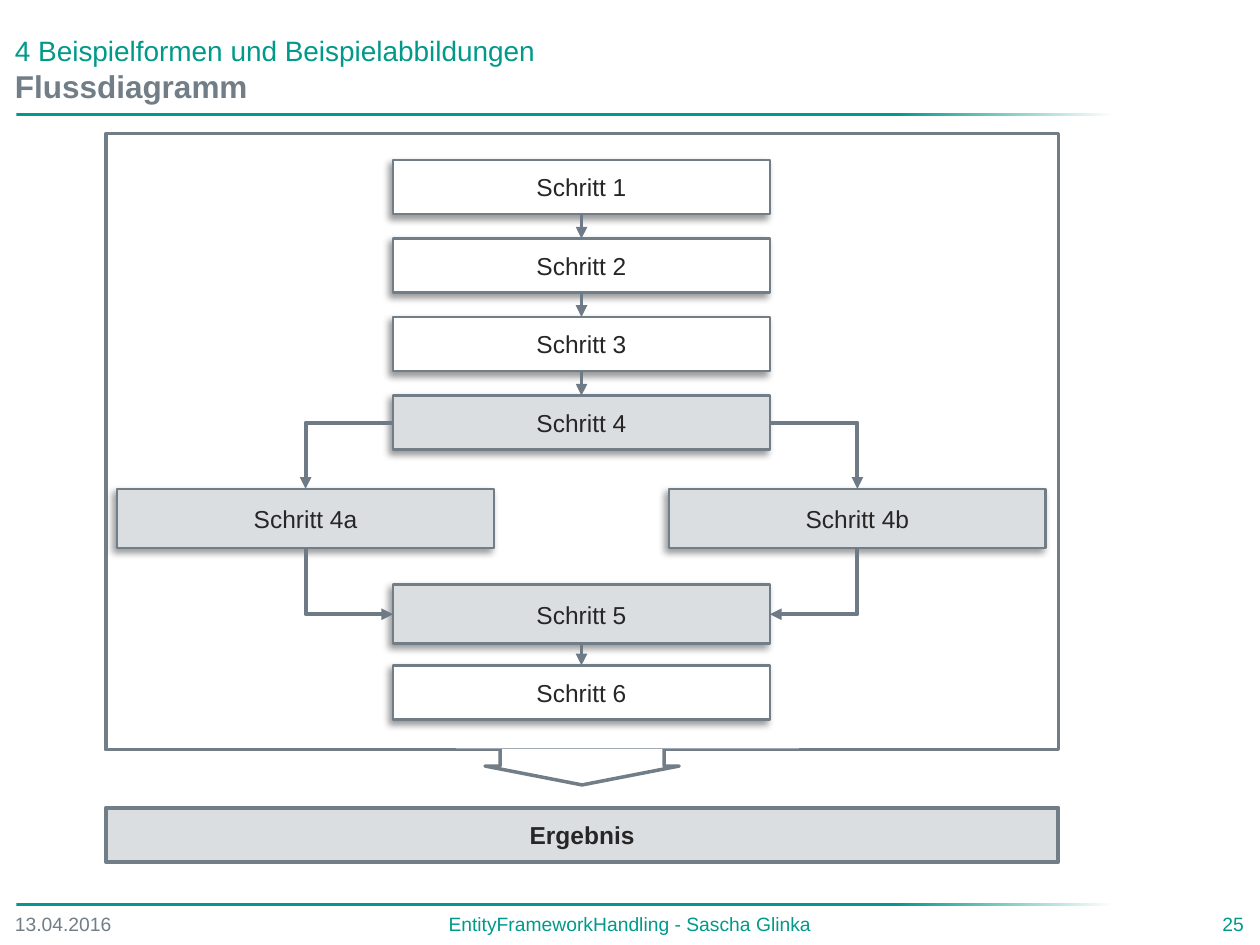
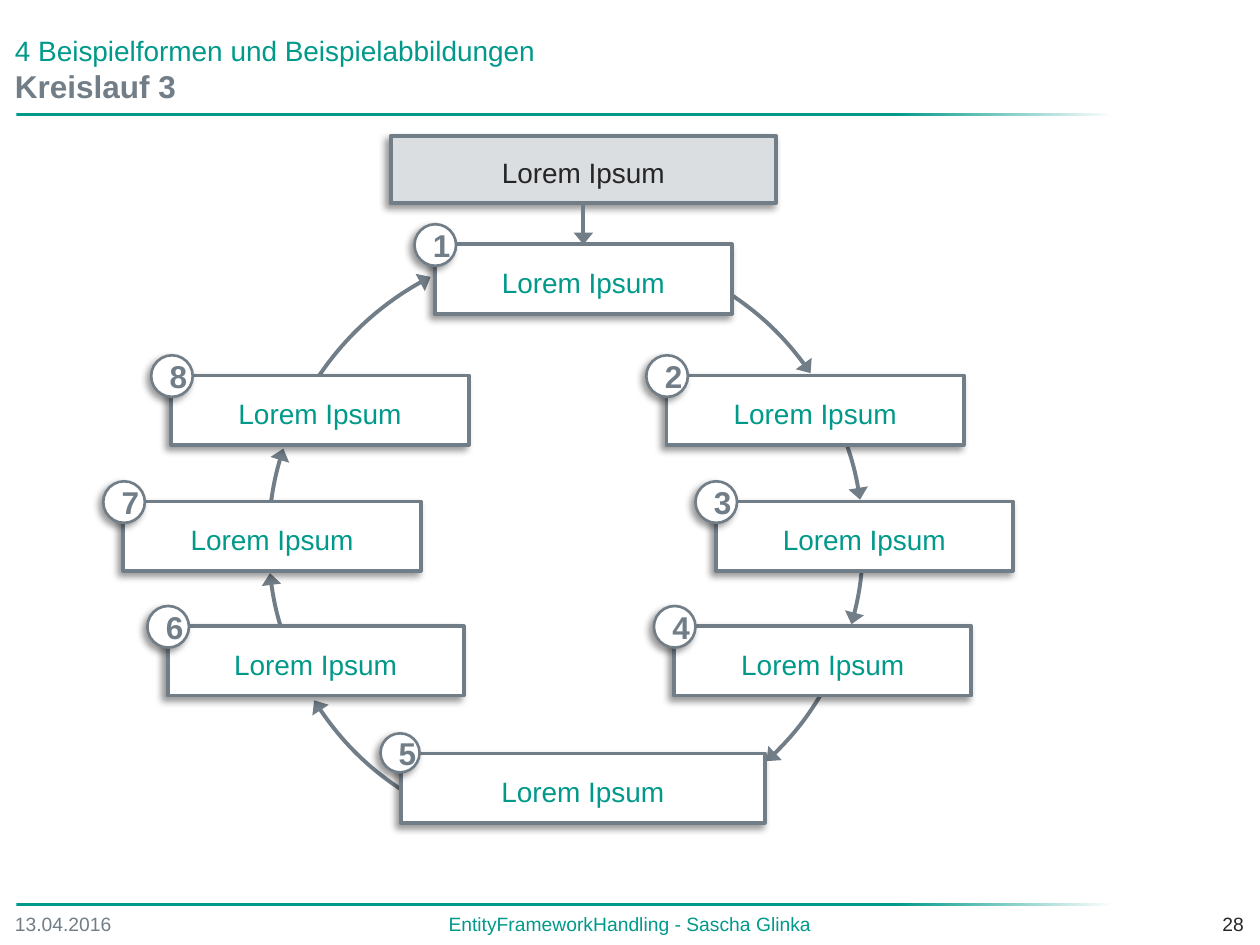
from copy import deepcopy

from lxml import etree
from pptx import Presentation
from pptx import util as u
from pptx.dml.color import RGBColor
from pptx.enum import shapes, text
from pptx.oxml.ns import qn

COLORS = {"green": "00998A", "gray": "717D87", "link": "6E7A85",
          "pale": "DBDEE1", "white": "FFFFFF", "ink": "262626"}
FONT = "Arial"
COLS, ROWS = 100, 75
TOP, LEFT, BOTTOM, RIGHT = range(4)
LEFT_AL, CENTER, RIGHT_AL = text.PP_ALIGN.LEFT, text.PP_ALIGN.CENTER, text.PP_ALIGN.RIGHT
MIDDLE, UPPER, LOWER = text.MSO_ANCHOR.MIDDLE, text.MSO_ANCHOR.TOP, text.MSO_ANCHOR.BOTTOM
KIND = shapes.MSO_SHAPE


class Deck:
    """Holds the style and the current slide, and draws on a 100 by 75 grid."""

    def __init__(self):
        self.prs = Presentation()
        self.prs.slide_width, self.prs.slide_height = u.Inches(10), u.Inches(7.5)
        self.s = None

    def grid(self, *box):
        """Turn columns and rows into slide lengths."""
        units = (self.prs.slide_width / COLS, self.prs.slide_height / ROWS)
        return [u.Emu(round(v * units[i % 2])) for i, v in enumerate(box)]

    def rgb(self, name):
        """Look up a colour by name."""
        return RGBColor.from_string(COLORS[name])

    def slide(self, title, number, number_color):
        """Start a slide with its heading, rules and footer."""
        self.s = self.prs.slides.add_slide(self.prs.slide_layouts[6])
        for top in (9, 71.7):
            self.rule(top)
        self.label((0.2, 1.9, 86.8, 3.9), "4 Beispielformen und Beispielabbildungen",
                   16, "green", anchor=LOWER)
        self.label((0.2, 4.8, 87, 3.9), title, 18, "gray", bold=True, before=1)
        self.label((0.2, 71.9, 16.7, 3.1), "13.04.2016", 11, "gray")
        self.label((19.6, 71.9, 60.8, 3.1), "EntityFrameworkHandling - Sascha Glinka",
                   11, "green", CENTER)
        self.label((83, 71.9, 16.7, 3.1), number, 11, number_color, RIGHT_AL)

    def rule(self, top):
        """Draw a green rule that fades out to the right."""
        sp = self.shape(KIND.RECTANGLE, (1.3, top, 87.1, 0.2))
        sp.fill.gradient()
        sp.fill.gradient_angle = 0
        stops = sp.fill.gradient_stops
        stops[0].color.rgb, stops[1].color.rgb = self.rgb("green"), self.rgb("white")
        stops[0].position, stops[1].position = 0, 1
        first = sp._element.spPr.find(".//" + qn("a:gs"))
        first.addnext(deepcopy(first))
        sp.fill.gradient_stops[1].position = 0.8

    def put_text(self, sp, words, size, color, align=LEFT_AL, bold=False,
                 anchor=UPPER, spacing=None, before=None):
        """Put one paragraph into a shape."""
        tf = sp.text_frame
        tf.word_wrap, tf.vertical_anchor = True, anchor
        p = tf.paragraphs[0]
        p.alignment, p.line_spacing = align, spacing
        if before:
            p.space_before = u.Pt(before)
        r = p.add_run()
        r.text = words
        r.font.name, r.font.size, r.font.bold = FONT, u.Pt(size), bold
        r.font.color.rgb = self.rgb(color)

    def label(self, box, words, size, color, align=LEFT_AL, **style):
        """Add a text box."""
        self.put_text(self.s.shapes.add_textbox(*self.grid(*box)),
                      words, size, color, align, **style)

    def shape(self, kind, box, fill=None, width=None, shadow=False):
        """Add a preset shape."""
        sp = self.s.shapes.add_shape(kind, *self.grid(*box))
        sp.shadow.inherit = False
        if fill:
            sp.fill.solid()
            sp.fill.fore_color.rgb = self.rgb(fill)
        else:
            sp.fill.background()
        if width:
            sp.line.color.rgb, sp.line.width = self.rgb("gray"), u.Pt(width)
        else:
            sp.line.fill.background()
        if shadow:
            effects = sp._element.spPr.find(qn("a:effectLst"))
            outer = etree.SubElement(effects, qn("a:outerShdw"), blurRad=str(u.Pt(4)),
                                     dist=str(u.Pt(3)), dir=str(135 * 60000),
                                     algn="tr", rotWithShape="0")
            black = etree.SubElement(outer, qn("a:srgbClr"), val="000000")
            etree.SubElement(black, qn("a:alpha"), val="40000")
        return sp

    def step(self, words, center, top, height, fill):
        """Add a flow chart step around a centre column."""
        sp = self.shape(KIND.RECTANGLE, (center - 14.95, top, 29.9, height), fill, 1.5, True)
        self.put_text(sp, words, 14, "ink", CENTER, anchor=MIDDLE)
        return sp

    def card(self, box, fill, color):
        """Add a station of the cycle."""
        sp = self.shape(KIND.RECTANGLE, box, fill, 2.25, True)
        tf = sp.text_frame
        tf.margin_left = tf.margin_right = u.Inches(0.04)
        tf.margin_top = tf.margin_bottom = 0
        self.put_text(sp, "Lorem Ipsum", 16, color, CENTER, anchor=MIDDLE, spacing=1.2)
        return sp

    def badge(self, number, left, top, size):
        """Add a numbered circle."""
        sp = self.shape(KIND.OVAL, (left, top, size, size), "white", 1.5, True)
        self.put_text(sp, str(number), 18, "gray", CENTER, True, MIDDLE)

    def arrowhead(self, sp, width="med"):
        """Put a triangle at the end of a line."""
        etree.SubElement(sp.line._get_or_add_ln(), qn("a:tailEnd"),
                         type="triangle", w=width, len="med")

    def arc(self, start, end):
        """Add an arc arrow on the ring between two angles in degrees."""
        sp = self.shape(KIND.ARC, (21.3, 19.4, 47.2, 47.2), width=2.25)
        for i, angle in enumerate((start, end)):
            sp.adjustments[i] = angle * 0.6
        self.arrowhead(sp, "lg")

    def arrow(self, a, b, begin=BOTTOM, end=TOP, color="link", head="med",
              kind=shapes.MSO_CONNECTOR.STRAIGHT):
        """Join two shapes with an arrow."""
        c = self.s.shapes.add_connector(kind, 0, 0, 0, 0)
        c.begin_connect(a, begin)
        c.end_connect(b, end)
        c.line.color.rgb, c.line.width = self.rgb(color), u.Pt(2.25)
        self.arrowhead(c, head)
        etree.SubElement(c._element.spPr, qn("a:effectLst"))
        return c

    def elbow(self, a, b, begin, end):
        """Join two shapes with an arrow that turns once."""
        c = self.arrow(a, b, begin, end, kind=shapes.MSO_CONNECTOR.ELBOW)
        x1, y1, x2, y2 = c.begin_x, c.begin_y, c.end_x, c.end_y
        w, h = abs(x2 - x1), abs(y2 - y1)
        if begin == BOTTOM:
            w, h = h, w
        turn, flip = {(LEFT, TOP): (180, "flipV"), (RIGHT, TOP): (0, None),
                      (BOTTOM, LEFT): (270, "flipH"), (BOTTOM, RIGHT): (90, None)}[begin, end]
        c.left, c.top = (x1 + x2 - w) // 2, (y1 + y2 - h) // 2
        c.width, c.height = w, h
        pr = c._element.spPr
        pr.find(qn("a:prstGeom")).set("prst", "bentConnector2")
        xfrm = pr.find(qn("a:xfrm"))
        for name in ("flipH", "flipV"):
            xfrm.attrib.pop(name, None)
        xfrm.set("rot", str(turn * 60000))
        if flip:
            xfrm.set(flip, "1")


def flow_chart(d):
    """Build the flow chart slide."""
    d.slide("Flussdiagramm", "25", "green")
    mid, offset = 46.15, 21.9
    d.shape(KIND.RECTANGLE, (8.4, 10.6, 75.6, 48.9), width=2)
    funnel = d.shape(KIND.DOWN_ARROW, (38.5, 59.3, 15.4, 3), "white", 2)
    funnel.adjustments[0], funnel.adjustments[1] = 0.845, 0.5
    d.shape(KIND.RECTANGLE, (36.2, 58.4, 27.2, 1), "white")
    steps = [d.step(f"Schritt {i + 1}", mid, 12.7 + 6.23 * i, 4.3,
                    "pale" if i == 3 else "white") for i in range(4)]
    step_4a = d.step("Schritt 4a", mid - offset, 38.8, 4.7, "pale")
    step_4b = d.step("Schritt 4b", mid + offset, 38.8, 4.7, "pale")
    step_5 = d.step("Schritt 5", mid, 46.4, 4.7, "pale")
    step_6 = d.step("Schritt 6", mid, 52.8, 4.3, "white")
    for a, b in [*zip(steps, steps[1:]), (step_5, step_6)]:
        d.arrow(a, b)
    for branch, side in ((step_4a, LEFT), (step_4b, RIGHT)):
        d.elbow(steps[3], branch, side, TOP)
        d.elbow(branch, step_5, BOTTOM, side)
    result = d.shape(KIND.RECTANGLE, (8.4, 64.1, 75.6, 4.3), "pale", 2.25)
    d.put_text(result, "Ergebnis", 14, "ink", CENTER, True, MIDDLE)


def cycle(d):
    """Build the cycle slide."""
    d.slide("Kreislauf 3", "28", "ink")
    for start, end in ((303.75, 325.43), (340.82, 351.83), (5.36, 16.08), (31.23, 47.52),
                       (123.01, 147.79), (162.75, 173.95), (187.98, 198.26),
                       (213.49, 242.97)):
        d.arc(start, end)
    entry = d.card((31, 10.8, 30.6, 5.3), "pale", "ink")
    stations = [(34.5, 19.4, 23.6), (52.9, 29.8, 23.6), (56.8, 39.8, 23.6),
                (53.5, 49.7, 23.6), (31.8, 59.8, 28.9), (13.3, 49.7, 23.5),
                (9.8, 39.8, 23.6), (13.6, 29.8, 23.6)]
    cards = []
    for number, (left, top, width) in enumerate(stations, 1):
        cards.append(d.card((left, top, width, 5.5), "white", "green"))
        d.badge(number, left - 1.6, top - 1.6, 3.1 if number == 5 else 3.3)
    d.arrow(entry, cards[0], color="gray", head="lg")


def main():
    """Build and save the slides."""
    d = Deck()
    flow_chart(d)
    cycle(d)
    d.prs.save("out.pptx")


if __name__ == "__main__":
    main()
